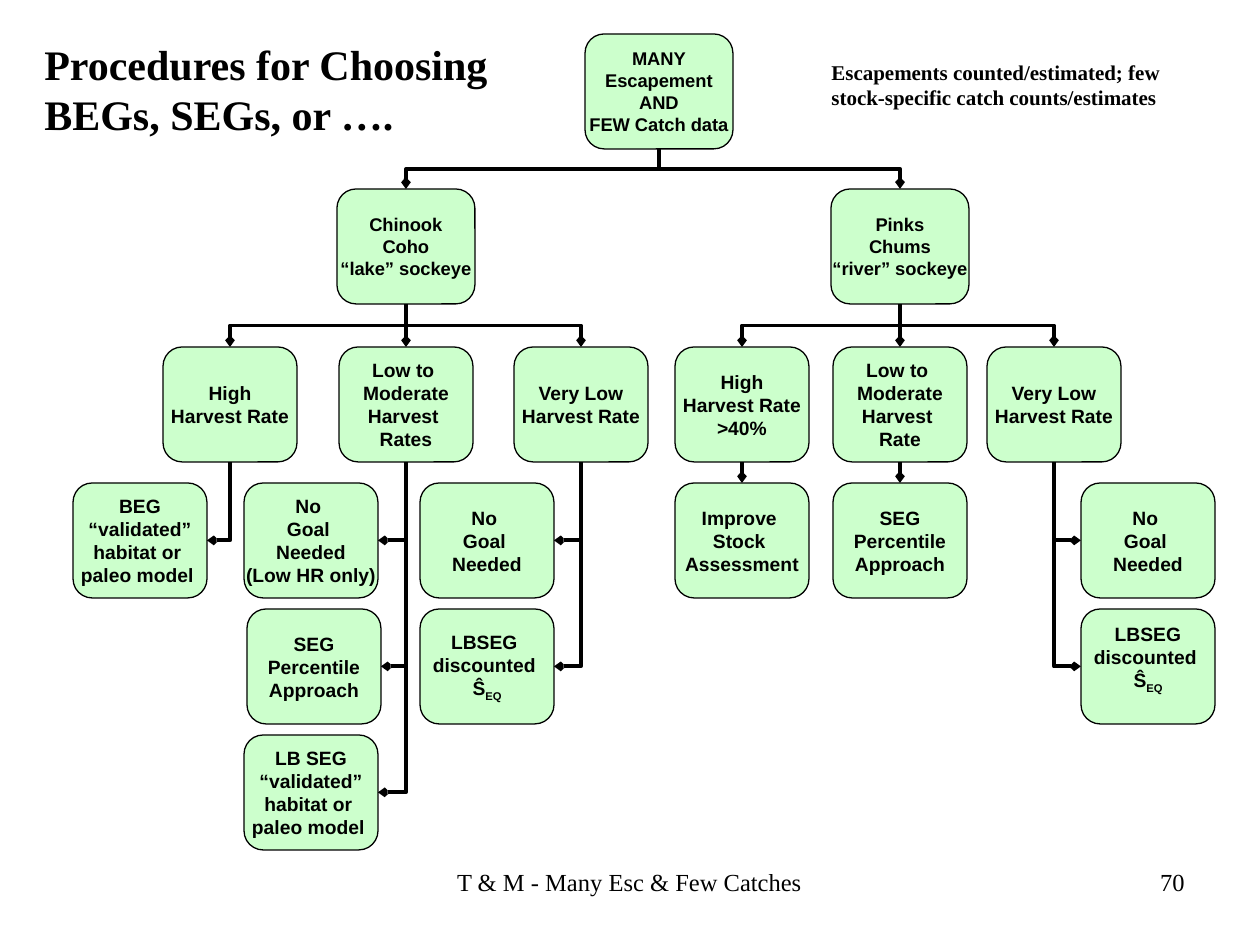
from dataclasses import dataclass
from typing import Optional

from lxml.etree import SubElement
from pptx import Presentation
from pptx.dml.color import RGBColor as RGB
from pptx.enum.shapes import MSO_CONNECTOR as CONN, MSO_SHAPE as SHAPE
from pptx.enum.text import MSO_ANCHOR as ANCHOR, PP_ALIGN as ALIGN
from pptx.oxml.ns import qn
from pptx.util import Emu, Pt

EMU_PER_PX = 914400 / 126


def px(n: float) -> Emu:
    return Emu(round(n * EMU_PER_PX))


@dataclass(frozen=True)
class Theme:
    ink: RGB = RGB(0x00, 0x00, 0x00)
    box: RGB = RGB(0xCC, 0xFF, 0xCC)
    sans: str = "Arial"
    serif: str = "Times New Roman"
    title: float = 24
    footer: float = 14
    note: float = 12
    rate: float = 11
    group: float = 10.5
    outline: float = 0.75
    link: float = 2.25


THEME = Theme()


@dataclass(frozen=True)
class Node:
    """A box of the tree; side tells where its arrow enters: top, left or right."""
    x: int
    y: int
    text: str
    parent: Optional["Node"] = None
    side: str = "top"
    w: int = 134
    size: float = THEME.rate
    pad_bottom: int = 0
    h: int = 115

    @property
    def centre(self) -> int:
        return self.x + self.w // 2


@dataclass(frozen=True)
class Label:
    x: int
    y: int
    w: int
    h: int
    text: str
    size: float
    bold: bool = True
    align: ALIGN = ALIGN.LEFT
    wrap: bool = True


# Tree: row tops, then boxes from the root down
SPECIES, RATE = 189, 347
GOAL_1, GOAL_2, GOAL_3 = (483 + 126 * i for i in range(3))

root = Node(585, 34, "MANY\nEscapement\nAND\nFEW Catch data", w=148, size=THEME.group)
lake = Node(337, SPECIES, "Chinook\nCoho\n“lake” sockeye", root, w=138, size=THEME.group)
river = Node(831, SPECIES, "Pinks\nChums\n“river” sockeye", root, w=138, size=THEME.group)

lake_high = Node(163, RATE, "High\nHarvest Rate", lake)
lake_mid = Node(339, RATE, "Low to \nModerate\nHarvest \nRates", lake)
lake_low = Node(514, RATE, "Very Low\nHarvest Rate", lake)
river_high = Node(675, RATE, "High\nHarvest Rate\n>40%", river)
river_mid = Node(833, RATE, "Low to \nModerate\nHarvest \nRate", river)
river_low = Node(987, RATE, "Very Low\nHarvest Rate", river)

NO_GOAL = "No \nGoal \nNeeded"
PERCENTILE = "SEG\nPercentile\nApproach"
MODEL = "\n“validated”\nhabitat or \npaleo model "
goals = [
    Node(73, GOAL_1, "BEG" + MODEL, lake_high, "right"),
    Node(244, GOAL_1, NO_GOAL + "\n(Low HR only)", lake_mid, "right"),
    Node(247, GOAL_2, PERCENTILE, lake_mid, "right"),
    Node(244, GOAL_3, "LB SEG" + MODEL, lake_mid, "right"),
    Node(420, GOAL_1, NO_GOAL, lake_low, "right"),
    Node(420, GOAL_2, "LBSEG \ndiscounted \nŜ_EQ", lake_low, "right"),
    Node(675, GOAL_1, "Improve \nStock \nAssessment", river_high),
    Node(833, GOAL_1, PERCENTILE, river_mid),
    Node(1081, GOAL_1, NO_GOAL, river_low, "left"),
    Node(1081, GOAL_2, "LBSEG\ndiscounted \nŜ_EQ", river_low, "left", pad_bottom=16),
]
nodes = [root, lake, river, lake_high, lake_mid, lake_low,
         river_high, river_mid, river_low, *goals]

labels = [
    Label(32, 32, 481, 113, "Procedures for Choosing\nBEGs, SEGs, or ….", THEME.title, wrap=False),
    Label(819, 53, 410, 63, "Escapements counted/estimated; few "
          "stock-specific catch counts/estimates", THEME.note),
    Label(443, 861, 373, 43, "T & M - Many Esc & Few Catches", THEME.footer,
          False, ALIGN.CENTER, False),
    Label(903, 861, 294, 65, "70", THEME.footer, False, ALIGN.RIGHT),
]


def write(tf, text: str, align: ALIGN, font: dict) -> None:
    """One paragraph per line; what follows an underscore is a subscript."""
    for i, line in enumerate(text.split("\n")):
        p = tf.paragraphs[0] if i == 0 else tf.add_paragraph()
        p.alignment = align
        for j, part in enumerate(line.split("_")):
            r = p.add_run()
            r.text = part
            for name, value in font.items():
                setattr(r.font, name, value)
            r.font.color.rgb = THEME.ink
            if j:
                r.font._element.set("baseline", "-25000")


def draw_link(shapes, node: Node) -> None:
    """Arrow that starts with its head at the node and ends under the parent."""
    x1, y1 = node.parent.centre, node.parent.y + node.parent.h
    if node.side == "top":
        x0, y0 = node.centre, node.y
        if x0 == x1:
            sp = shapes.add_connector(CONN.STRAIGHT, px(x0), px(y0), px(x1), px(y1))
        else:
            # Lay the elbow flat about its middle, then turn it upright
            mx, my = (x0 + x1) / 2, (y0 + y1) / 2
            dx, dy = (x1 - x0) / 2, (y0 - y1) / 2
            sp = shapes.add_connector(CONN.ELBOW, px(mx - dy), px(my - dx),
                                      px(mx + dy), px(my + dx))
            sp._element.spPr.find(qn("a:xfrm")).set("rot", str(270 * 60000))
    else:
        x0 = node.x + (node.w if node.side == "right" else 0)
        y0 = node.y + node.h / 2
        sp = shapes.add_connector(CONN.ELBOW, px(x0), px(y0), px(x1), px(y1))
        sp._element.spPr.find(qn("a:prstGeom")).set("prst", "bentConnector2")
    sp.line.width = Pt(THEME.link)
    sp.line.color.rgb = THEME.ink
    SubElement(sp.line._get_or_add_ln(), qn("a:headEnd"), type="arrow", w="sm", len="sm")
    SubElement(sp._element.spPr, qn("a:effectLst"))


def draw_node(shapes, node: Node) -> None:
    sp = shapes.add_shape(SHAPE.ROUNDED_RECTANGLE, px(node.x), px(node.y),
                          px(node.w), px(node.h))
    sp.shadow.inherit = False
    sp.fill.solid()
    sp.fill.fore_color.rgb = THEME.box
    sp.line.color.rgb = THEME.ink
    sp.line.width = Pt(THEME.outline)
    tf = sp.text_frame
    frame = dict(margin_left=0, margin_right=0, margin_top=0,
                 margin_bottom=px(node.pad_bottom), word_wrap=False,
                 vertical_anchor=ANCHOR.MIDDLE)
    for name, value in frame.items():
        setattr(tf, name, value)
    write(tf, node.text, ALIGN.CENTER, dict(name=THEME.sans, size=Pt(node.size), bold=True))


def draw_label(shapes, label: Label) -> None:
    sp = shapes.add_textbox(px(label.x), px(label.y), px(label.w), px(label.h))
    sp.text_frame.word_wrap = label.wrap
    write(sp.text_frame, label.text, label.align,
          dict(name=THEME.serif, size=Pt(label.size), bold=label.bold))


def main() -> None:
    prs = Presentation()
    prs.slide_width, prs.slide_height = px(1260), px(945)
    s = prs.slides.add_slide(prs.slide_layouts[6])

    # Arrows lie under the boxes
    for node in nodes:
        if node.parent:
            draw_link(s.shapes, node)
    for node in nodes:
        draw_node(s.shapes, node)

    # Title, note and footer
    for label in labels:
        draw_label(s.shapes, label)
    prs.save("out.pptx")


if __name__ == "__main__":
    main()
